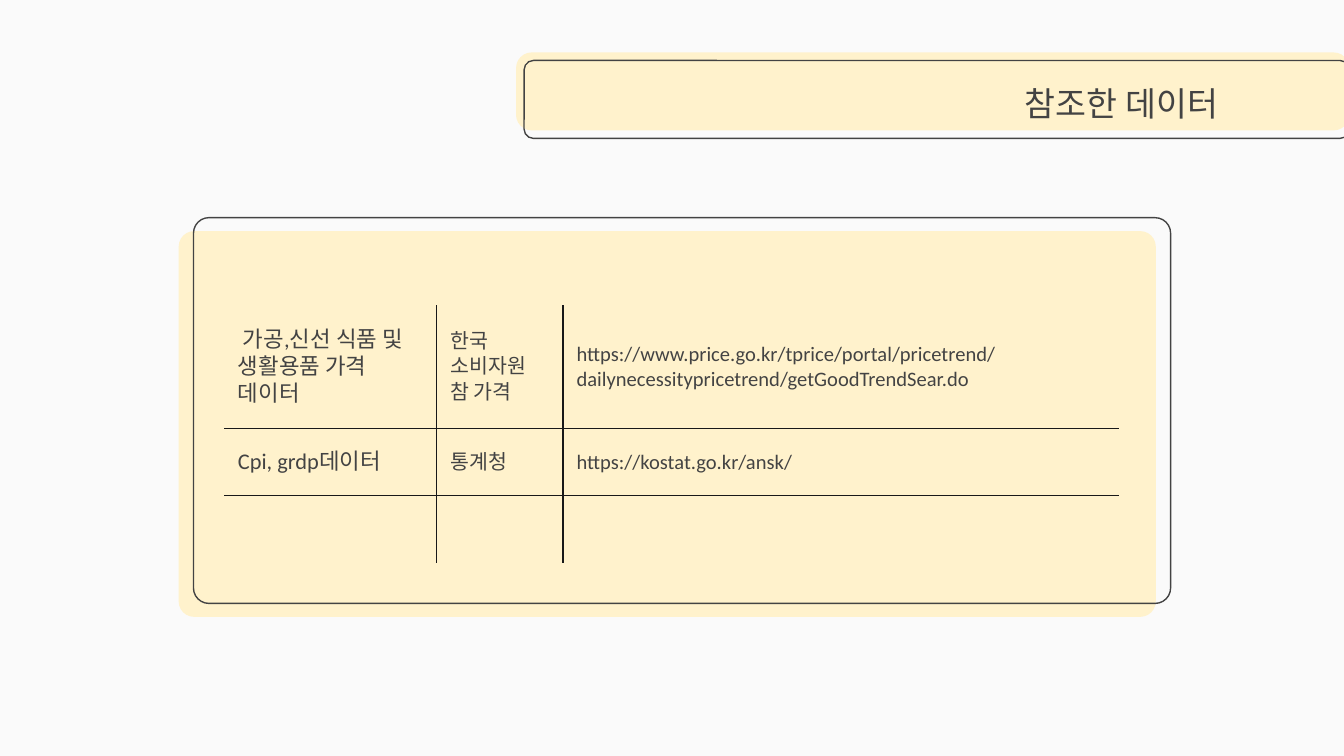
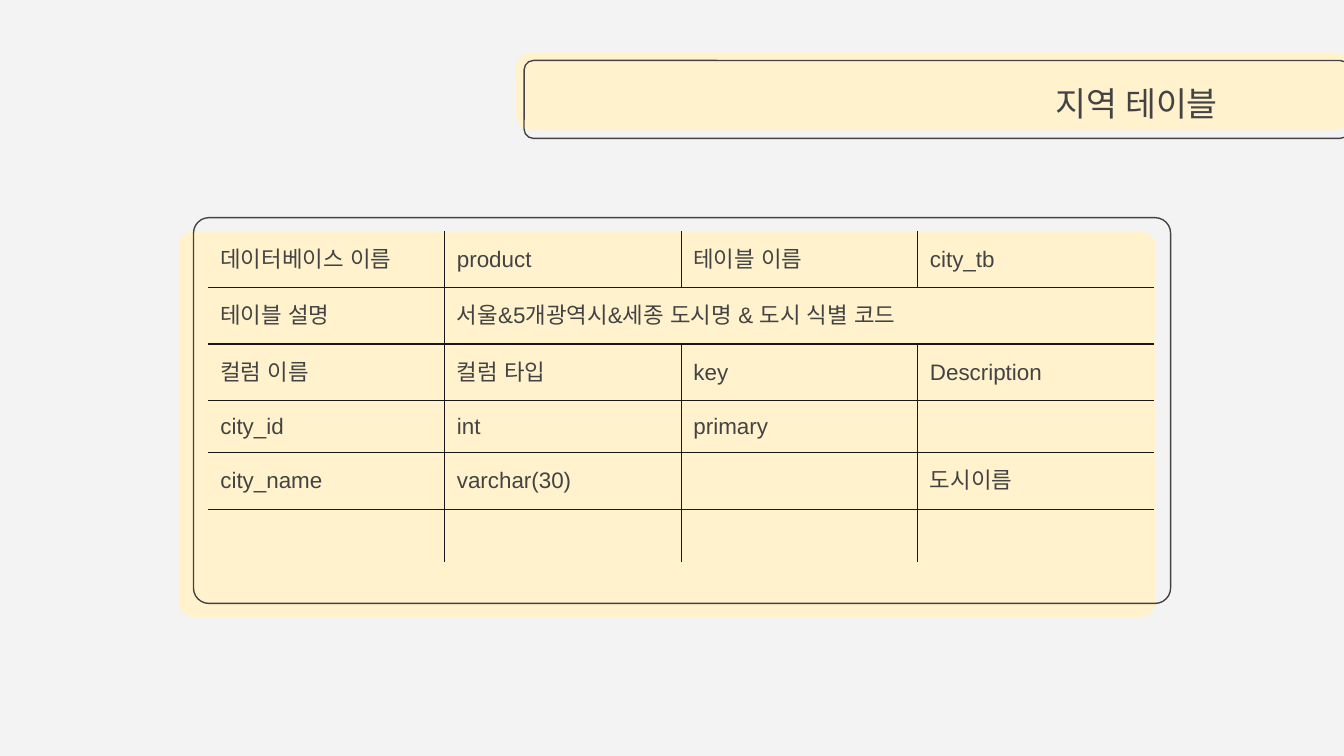
from lxml import etree
from pptx import Presentation
from pptx.dml.color import RGBColor
from pptx.enum import shapes, text
from pptx.oxml import ns
from pptx.util import Inches, Pt

CREAM = RGBColor(0xFF, 0xF2, 0xCC)
INK = RGBColor(0x43, 0x43, 0x43)
RULE = RGBColor(0x18, 0x18, 0x18)
PAPER = RGBColor(0xFA, 0xFA, 0xFA)
GREY = RGBColor(0xF3, 0xF3, 0xF3)
HAIRLINE = Pt(0.75)


class Deck:
    def __init__(self):
        self.file = Presentation()
        self.file.slide_width = Inches(10)
        self.file.slide_height = Inches(10) * 9 // 16
        self.slide = None

    def page(self, heading, background):
        self.slide = self.file.slides.add_slide(self.file.slide_layouts[6])
        fill = self.slide.background.fill
        fill.solid()
        fill.fore_color.rgb = background
        self.panel(self.slide.shapes, (3.84, 0.39, 6.2, 0.58), 0.2, fill=CREAM)
        self.panel(self.slide.shapes, (3.9, 0.45, 6.14, 0.58), 0.12, line=INK)
        card = self.slide.shapes.add_group_shape().shapes
        self.panel(card, (1.33, 1.72, 7.27, 2.87), 0.04, fill=CREAM)
        self.panel(card, (1.44, 1.62, 7.27, 2.87), 0.04, line=INK)
        self.title(heading)

    def panel(self, parent, box, corner, fill=None, line=None):
        panel = parent.add_shape(shapes.MSO_SHAPE.ROUNDED_RECTANGLE, *map(Inches, box))
        panel.adjustments[0] = corner
        panel.shadow.inherit = False
        if fill is None:
            panel.fill.background()
        else:
            panel.fill.solid()
            panel.fill.fore_color.rgb = fill
        if line is None:
            panel.line.fill.background()
        else:
            panel.line.color.rgb = line
            panel.line.width = HAIRLINE

    def title(self, heading):
        frame = self.slide.shapes.add_textbox(*map(Inches, (5.67, 0.5, 3.49, 0.53))).text_frame
        frame.word_wrap = True
        frame.vertical_anchor = text.MSO_ANCHOR.MIDDLE
        frame.margin_left = frame.margin_right = Inches(0.1)
        frame.margin_top = frame.margin_bottom = Inches(0.1)
        paragraph = frame.paragraphs[0]
        paragraph.text = heading
        paragraph.alignment = text.PP_ALIGN.RIGHT
        self.style(paragraph, "Calibri", 18)

    def style(self, paragraph, face, size):
        paragraph.font.name = face
        paragraph.font.size = Pt(size)
        paragraph.font.color.rgb = INK
        defaults = paragraph._p.pPr.find(ns.qn("a:defRPr"))
        for script in ("ea", "cs"):
            etree.SubElement(defaults, ns.qn(f"a:{script}"), typeface=face)

    def grid(self, corner, widths, heights, rows, face, sizes, inset, fill=None, merges=()):
        box = (*corner, sum(widths), sum(heights))
        table = self.slide.shapes.add_table(len(rows), len(widths), *map(Inches, box)).table
        table.first_row = table.horz_banding = False
        for column, width in zip(table.columns, widths):
            column.width = Inches(width)
        for row, height in zip(table.rows, heights):
            row.height = Inches(height)
        for row, first, last in merges:
            table.cell(row, first).merge(table.cell(row, last))
        for r, entries in enumerate(rows):
            for c, (entry, size) in enumerate(zip(entries, sizes)):
                cell = table.cell(r, c)
                inner = not cell.is_spanned
                self.borders(cell, {
                    "lnL": inner and c > 0,
                    "lnR": inner and c + cell.span_width < len(widths),
                    "lnT": r > 0,
                    "lnB": r + 1 < len(rows),
                })
                self.fill_cell(cell, entry, face, size, inset, fill)

    def borders(self, cell, edges):
        properties = cell._tc.get_or_add_tcPr()
        for edge, drawn in edges.items():
            line = etree.SubElement(properties, ns.qn(f"a:{edge}"), w=str(int(HAIRLINE)))
            if drawn:
                paint = etree.SubElement(line, ns.qn("a:solidFill"))
                etree.SubElement(paint, ns.qn("a:srgbClr"), val=str(RULE))
            else:
                etree.SubElement(line, ns.qn("a:noFill"))

    def fill_cell(self, cell, entry, face, size, inset, fill):
        cell.vertical_anchor = text.MSO_ANCHOR.MIDDLE
        cell.margin_left = cell.margin_right = Inches(inset)
        cell.margin_top = cell.margin_bottom = Inches(inset)
        if fill is None:
            cell.fill.background()
        else:
            cell.fill.solid()
            cell.fill.fore_color.rgb = fill
        paragraph = cell.text_frame.paragraphs[0]
        if entry:
            paragraph.text = entry
            self.style(paragraph, face, size)
        else:
            etree.SubElement(paragraph._p, ns.qn("a:endParaRPr"), sz=str(size * 100))


def main():
    deck = Deck()

    deck.page("참조한 데이터", PAPER)
    sources = [
        (" 가공,신선 식품 및 생활용품 가격 데이터", "한국 소비자원 참 가격",
         "https://www.price.go.kr/tprice/portal/pricetrend/"
         "dailynecessitypricetrend/getGoodTrendSear.do"),
        ("Cpi, grdp데이터", "통계청", "https://kostat.go.kr/ansk/"),
        ("", "", ""),
    ]
    deck.grid((1.67, 2.27), (1.58, 0.94, 4.14), (0.92, 0.5, 0.5), sources,
              "Calibri", (12, 11, 11), 0.1, fill=CREAM)

    deck.page("지역 테이블", GREY)
    city_schema = [
        ("데이터베이스 이름", "product", "테이블 이름", "city_tb"),
        ("테이블 설명", "서울&5개광역시&세종 도시명 & 도시 식별 코드", "", ""),
        ("컬럼 이름", "컬럼 타입", "key", "Description"),
        ("city_id", "int", "primary", ""),
        ("city_name", "varchar(30)", "", "도시이름"),
        ("", "", "", ""),
    ]
    deck.grid((1.55, 1.72), (1.76,) * 4, (0.42, 0.42, 0.42, 0.39, 0.42, 0.39), city_schema,
              "Arial", (12,) * 4, 0.09, merges=[(1, 1, 3)])

    deck.file.save("out.pptx")


if __name__ == "__main__":
    main()
